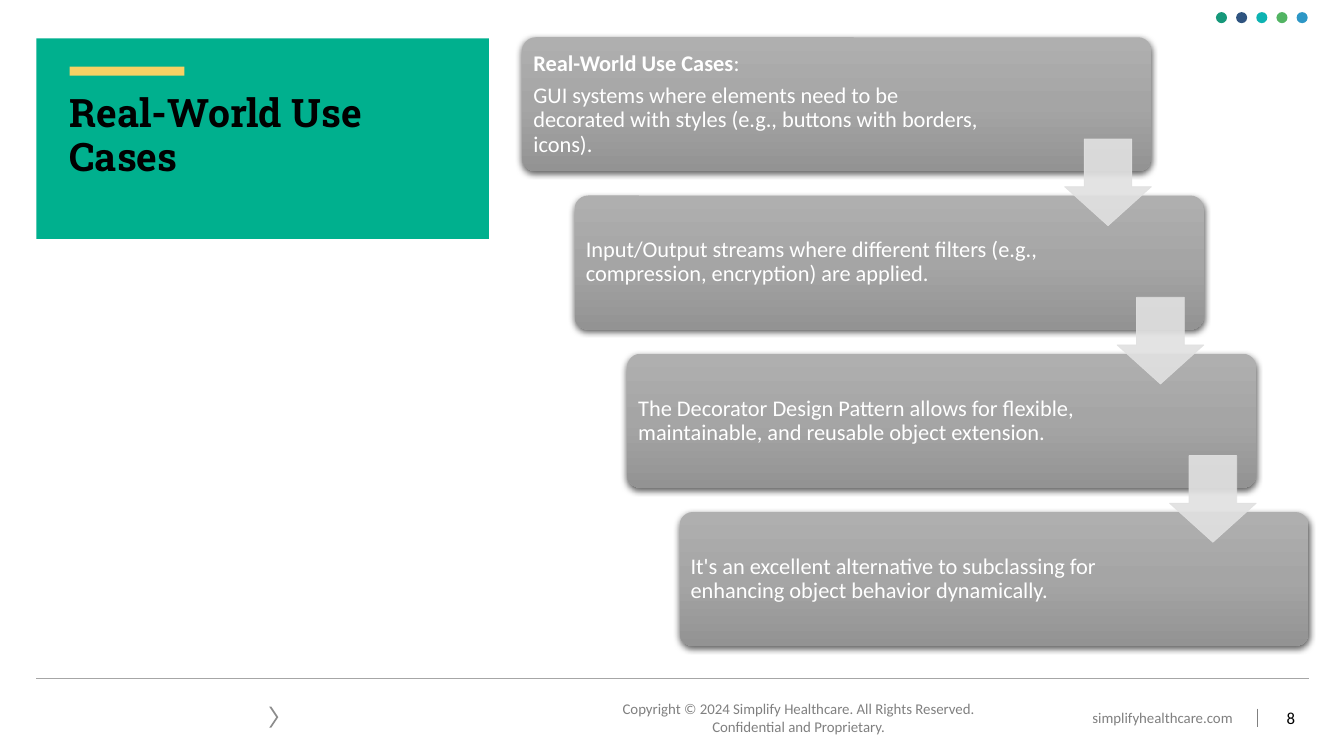
from lxml import etree
from pptx import Presentation
from pptx.dml.color import RGBColor
from pptx.enum.shapes import MSO_CONNECTOR, MSO_SHAPE as SHAPE
from pptx.enum.text import MSO_ANCHOR as ANCHOR, PP_ALIGN as ALIGN
from pptx.oxml import parse_xml
from pptx.oxml.ns import nsdecls, qn
from pptx.util import Inches, Pt

# Content: each step is a list of paragraphs, each paragraph a list of (text, bold)
TITLE = "Real-World Use Cases"
STEPS = [
    [[("Real-World Use Cases", True), (":", False)],
     [("GUI systems where elements need to be decorated with styles "
       "(e.g., buttons with borders, icons).", False)]],
    [[("Input/Output streams where different filters (e.g., compression, "
       "encryption) are applied.", False)]],
    [[("The Decorator Design Pattern allows for flexible, maintainable, and "
       "reusable object extension.", False)]],
    [[("It's an excellent alternative to subclassing for enhancing object "
       "behavior dynamically.", False)]],
]
COPYRIGHT = ("Copyright © 2024 Simplify Healthcare. All Rights Reserved.\v"
             "Confidential and Proprietary.")
WEBSITE = "simplifyhealthcare.com"
PAGE = "8"

COLORS = {
    "panel": "00B08E", "accent": "F8D164", "title": "000000",
    "footer": "808080", "rule": "A6A6A6", "chevron": "8C8C8C",
    "step text": "FFFFFF", "arrow": "E1E1E1", "page": "000000",
}
DOT_COLORS = ["16987A", "2F5480", "0DB3B2", "52B463", "2D97C6"]
STEP_GRADIENT = [(0, "AFAFAF"), (50, "A5A5A5"), (100, "939393")]

# Layout in inches
LEFT, RIGHT = 0.36, 12.98
STEP_X, STEP_Y, STEP_W, STEP_H = 5.18, 0.37, 6.24, 1.33
STEP_DX, STEP_DY = 0.52, 1.57
STEP_PAD = 0.04
TEXT_WIDTHS = [4.69, 4.77, 4.78, 4.77]
ARROW = 0.86
DOT, DOT_PITCH = 0.11, 0.2

prs = Presentation()
prs.slide_width, prs.slide_height = Inches(13.33), Inches(7.5)
slide = prs.slides.add_slide(prs.slide_layouts[6])


def rgb(value):
    return RGBColor.from_string(value)


def add_shape(kind, x, y, w, h, color=None, adjustments=()):
    shape = slide.shapes.add_shape(kind, Inches(x), Inches(y), Inches(w), Inches(h))
    shape.shadow.inherit = False
    shape.line.fill.background()
    for i, value in enumerate(adjustments):
        shape.adjustments[i] = value
    if color:
        shape.fill.solid()
        shape.fill.fore_color.rgb = rgb(color)
    return shape


def add_line(x1, y1, x2, y2, color):
    line = slide.shapes.add_connector(
        MSO_CONNECTOR.STRAIGHT, Inches(x1), Inches(y1), Inches(x2), Inches(y2))
    line.line.color.rgb = rgb(color)
    line.line.width = Pt(1)
    etree.SubElement(line._element.spPr, qn("a:effectLst"))


def add_frame(x, y, w, h, inset_x, inset_y, anchor=ANCHOR.TOP, wrap=True):
    frame = slide.shapes.add_textbox(Inches(x), Inches(y), Inches(w), Inches(h)).text_frame
    frame.word_wrap = wrap
    frame.vertical_anchor = anchor
    frame.margin_left = frame.margin_right = Inches(inset_x)
    frame.margin_top = frame.margin_bottom = Inches(inset_y)
    return frame


def style(run, size, color, bold=False, name="Calibri"):
    run.font.size, run.font.bold, run.font.name = Pt(size), bold, name
    run.font.color.rgb = rgb(color)


def add_label(frame, text, size, color, align=ALIGN.LEFT, **font):
    paragraph = frame.paragraphs[0]
    paragraph.text = text
    paragraph.alignment = align
    for run in paragraph.runs:
        style(run, size, color, **font)
    return paragraph


def shade_step(card):
    """Vertical gradient and soft shadow below."""
    stops = "".join(f'<a:gs pos="{pos * 1000}"><a:srgbClr val="{color}"/></a:gs>'
                    for pos, color in STEP_GRADIENT)
    properties = card._element.spPr
    properties.find(qn("a:prstGeom")).addnext(parse_xml(
        f'<a:gradFill {nsdecls("a")} rotWithShape="1"><a:gsLst>{stops}</a:gsLst>'
        '<a:lin ang="5400000" scaled="0"/></a:gradFill>'))
    properties.find(qn("a:effectLst")).append(parse_xml(
        f'<a:outerShdw {nsdecls("a")} blurRad="{Pt(4.5)}" dist="{Pt(1.5)}" '
        'dir="5400000" algn="ctr" rotWithShape="0"><a:srgbClr val="000000">'
        '<a:alpha val="63000"/></a:srgbClr></a:outerShdw>'))


# Footer
add_shape(SHAPE.CHEVRON, 2.67, 7.01, 0.09, 0.21, COLORS["chevron"], [0.774])
for text, box in [(COPYRIGHT, (5.02, 6.89, 5.8, 0.46)),
                  (WEBSITE, (10.64, 6.98, 1.78, 0.28))]:
    add_label(add_frame(*box, 0.1, 0.05), text, 10.6, COLORS["footer"], ALIGN.CENTER)
add_line(LEFT, 6.73, RIGHT, 6.73, COLORS["rule"])
add_label(add_frame(12.55, 6.92, 0.62, 0.4, 0.21, 0.11, ANCHOR.MIDDLE, wrap=False),
          PAGE, 12, COLORS["page"])
add_line(12.47, 7.03, 12.47, 7.21, COLORS["footer"])

# Title panel
add_shape(SHAPE.RECTANGLE, LEFT, 0.38, 4.49, 1.99, COLORS["panel"])
add_shape(SHAPE.RECTANGLE, 0.69, 0.66, 1.14, 0.09, COLORS["accent"])
heading = add_label(add_frame(0.69, 0.92, 3.81, 0.97, 0, 0), TITLE, 28,
                    COLORS["title"], bold=True, name="Roboto Slab")
heading.line_spacing = 0.93

# Corner dots
for i, color in enumerate(DOT_COLORS):
    add_shape(SHAPE.OVAL, 12.06 + i * DOT_PITCH, 0.12, DOT, DOT, color)

# Staircase of steps
for i, (paragraphs, text_width) in enumerate(zip(STEPS, TEXT_WIDTHS)):
    x, y = STEP_X + i * STEP_DX, STEP_Y + i * STEP_DY
    shade_step(add_shape(SHAPE.ROUNDED_RECTANGLE, x, y, STEP_W, STEP_H,
                         adjustments=[0.1]))
    frame = add_frame(x + STEP_PAD, y + STEP_PAD, text_width, STEP_H - 2 * STEP_PAD,
                      0.07, 0.07, ANCHOR.MIDDLE)
    for j, pieces in enumerate(paragraphs):
        paragraph = frame.add_paragraph() if j else frame.paragraphs[0]
        paragraph.line_spacing = 0.9
        paragraph.space_after = Pt(6)
        for text, bold in pieces:
            run = paragraph.add_run()
            run.text = text
            style(run, 16, COLORS["step text"], bold)

# Arrows from each step to the next, flush with the step's right edge
for i in range(len(STEPS) - 1):
    arrow = add_shape(SHAPE.DOWN_ARROW, STEP_X + i * STEP_DX + STEP_W - ARROW,
                      1.38 + i * STEP_DY, ARROW, ARROW, COLORS["arrow"], [0.55, 0.45])
    arrow.line.color.rgb = rgb(COLORS["arrow"])
    arrow.line.width = Pt(0.5)
    for color in arrow._element.spPr.iter(qn("a:srgbClr")):
        etree.SubElement(color, qn("a:alpha")).set("val", "90000")

prs.save("out.pptx")
